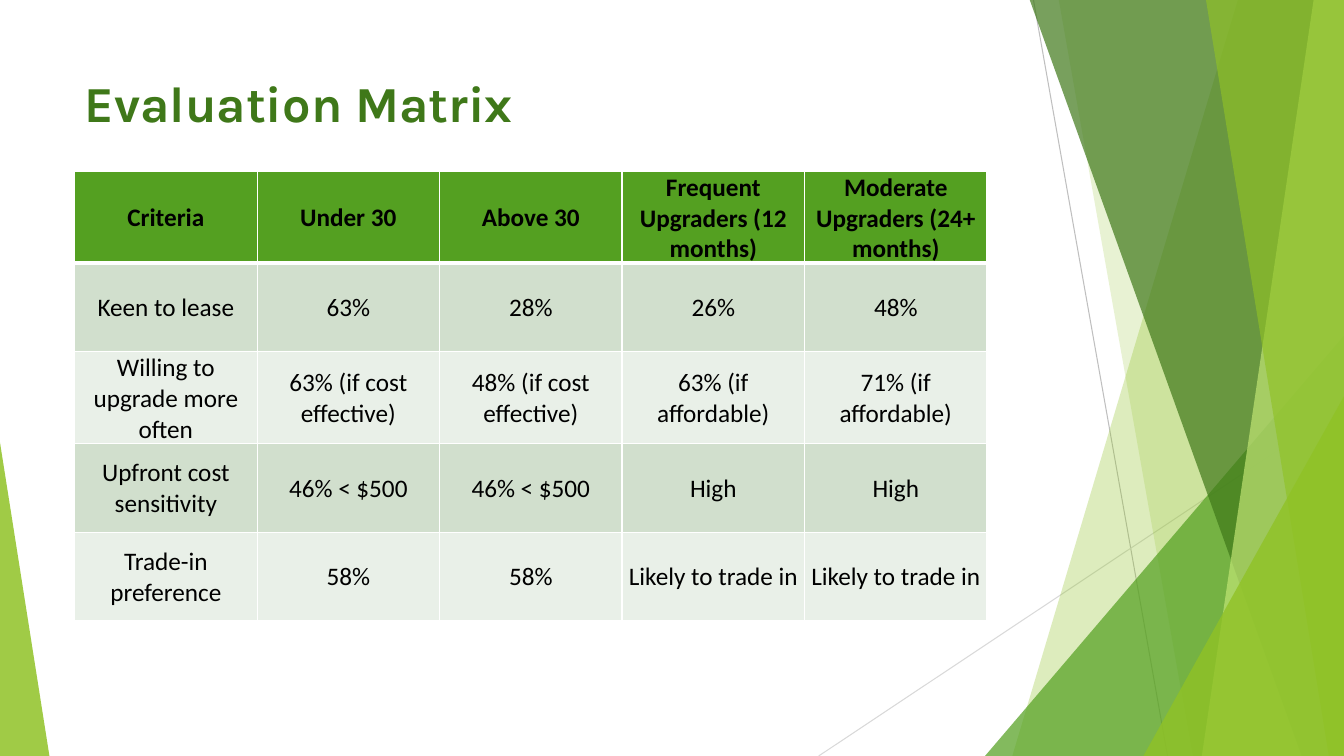
from lxml import etree
from pptx import Presentation
from pptx.dml.color import RGBColor
from pptx.enum.shapes import MSO_CONNECTOR, MSO_SHAPE
from pptx.enum.text import MSO_ANCHOR, PP_ALIGN
from pptx.oxml.ns import qn
from pptx.util import Inches, Pt

STRAIGHT = MSO_CONNECTOR.STRAIGHT
TRIANGLE = MSO_SHAPE.ISOSCELES_TRIANGLE
LEFT, CENTER = PP_ALIGN.LEFT, PP_ALIGN.CENTER
MIDDLE = MSO_ANCHOR.MIDDLE

COLORS = {
    "black": "000000",
    "white": "FFFFFF",
    "lime": "90C226",
    "pale_lime": "C0E474",
    "green": "54A021",
    "dark_green": "3F7819",
    "band_dark": "D1DFCD",
    "band_light": "E9F0E8",
    "gray": "BFBFBF",
    "light_gray": "D9D9D9",
}

WIDTH, HEIGHT = 13.33, 7.5
BLADE_TOP = -0.01

# Top left x, bottom left x, colour, opacity in percent
BACK_BLADES = [(12.28, 10.04, "lime", 30), (10.5, 11.83, "lime", 20)]
FRONT_BLADES = [
    (10.21, 12.91, "dark_green", 70),
    (13.03, 11.92, "pale_lime", 70),
    (11.96, 13.18, "lime", 65),
]

MATRIX = [
    ["Criteria", "Under 30", "Above 30",
     "Frequent Upgraders (12 months)", "Moderate Upgraders (24+ months)"],
    ["Keen to lease", "63%", "28%", "26%", "48%"],
    ["Willing to upgrade more often", "63% (if cost effective)",
     "48% (if cost effective)", "63% (if affordable)", "71% (if affordable)"],
    ["Upfront cost sensitivity", "46% < $500", "46% < $500", "High", "High"],
    ["Trade-in preference", "58%", "58%",
     "Likely to trade in", "Likely to trade in"],
]
COLUMN_WIDTH, ROW_HEIGHT = 1.81, 0.88


def rgb(name):
    return RGBColor.from_string(COLORS[name])


def write_text(frame, text, *, font, size, color, bold=False, align=LEFT):
    frame.word_wrap = True
    para = frame.paragraphs[0]
    para.alignment = align
    span = para.add_run()
    span.text = text
    span.font.name = font
    span.font.size = Pt(size)
    span.font.bold = bold
    span.font.color.rgb = rgb(color)


def paint(shape, color, opacity):
    """Give the shape a translucent fill with no line or shadow."""
    shape.shadow.inherit = False
    shape.line.fill.background()
    shape.fill.solid()
    shape.fill.fore_color.rgb = rgb(color)
    for tint in shape.element.spPr.iter(qn("a:srgbClr")):
        etree.SubElement(tint, qn("a:alpha"), val=str(opacity * 1000))


def add_thin_line(page, start, end, color):
    line = page.shapes.add_connector(
        STRAIGHT, *(Inches(value) for value in start + end))
    line.line.color.rgb = rgb(color)
    line.line.width = Pt(0.75)
    etree.SubElement(line.element.spPr, qn("a:effectLst"))


def add_blade(page, top_x, bottom_x, color, opacity):
    """Fill from a slanted left edge to the right side of the slide."""
    builder = page.shapes.build_freeform(Inches(top_x), Inches(BLADE_TOP))
    corners = [(WIDTH, BLADE_TOP), (WIDTH, HEIGHT), (bottom_x, HEIGHT)]
    builder.add_line_segments(
        [(Inches(x), Inches(y)) for x, y in corners], close=True)
    paint(builder.convert_to_shape(), color, opacity)


def add_corner(page, left, top, width, apex, color, opacity):
    """Add a triangle on the slide's bottom edge, apex 0 left to 1 right."""
    shape = page.shapes.add_shape(
        TRIANGLE, Inches(left), Inches(top),
        Inches(width), Inches(HEIGHT - top))
    shape.adjustments[0] = apex
    paint(shape, color, opacity)


def add_title(page, text):
    box = page.shapes.add_textbox(
        Inches(0.74), Inches(0.67), Inches(9.4), Inches(1.44))
    write_text(box.text_frame, text, font="Karla", size=36,
               color="dark_green", bold=True)


def set_borders(cell, **widths):
    """Draw white cell borders; widths are in points, by side L, R, T, B."""
    properties = cell._tc.get_or_add_tcPr()
    for index, side in enumerate("LRTB"):
        border = etree.Element(
            qn(f"a:ln{side}"), w=str(Pt(widths.get(side, 1))))
        fill = etree.SubElement(border, qn("a:solidFill"))
        etree.SubElement(fill, qn("a:srgbClr"), val=COLORS["white"])
        properties.insert(index, border)


def format_cell(cell, text, row):
    header = row == 0
    band = "band_dark" if row % 2 else "band_light"
    cell.fill.solid()
    cell.fill.fore_color.rgb = rgb("green" if header else band)
    cell.vertical_anchor = MIDDLE
    cell.margin_left = cell.margin_right = cell.margin_top = Inches(0.01)
    cell.margin_bottom = 0
    write_text(cell.text_frame, text, font="Calibri", size=18,
               color="black", bold=header, align=CENTER)
    set_borders(cell, T=3 if row == 1 else 1, B=3 if header else 1)


def add_matrix(page, rows):
    row_count, column_count = len(rows), len(rows[0])
    table = page.shapes.add_table(
        row_count, column_count, Inches(0.74), Inches(1.7),
        Inches(COLUMN_WIDTH * column_count),
        Inches(ROW_HEIGHT * row_count)).table
    for column in table.columns:
        column.width = Inches(COLUMN_WIDTH)
    for row, texts in enumerate(rows):
        table.rows[row].height = Inches(ROW_HEIGHT)
        for column, text in enumerate(texts):
            format_cell(table.cell(row, column), text, row)


def add_decoration(page):
    add_thin_line(page, (10.25, 0), (11.58, HEIGHT), "gray")
    add_thin_line(page, (WIDTH, 4.03), (8.12, HEIGHT), "light_gray")
    for blade in BACK_BLADES:
        add_blade(page, *blade)
    add_corner(page, 9.77, 3.33, 3.56, 1, "green", 72)
    for blade in FRONT_BLADES:
        add_blade(page, *blade)
    add_corner(page, 11.34, 3.93, 1.99, 1, "lime", 80)
    add_corner(page, 0, 4.39, 0.49, 0, "lime", 85)


def main():
    deck = Presentation()
    deck.slide_width = Inches(WIDTH)
    deck.slide_height = Inches(HEIGHT)
    page = deck.slides.add_slide(deck.slide_layouts[6])
    add_decoration(page)
    add_title(page, "Evaluation Matrix")
    add_matrix(page, MATRIX)
    deck.save("out.pptx")


if __name__ == "__main__":
    main()
